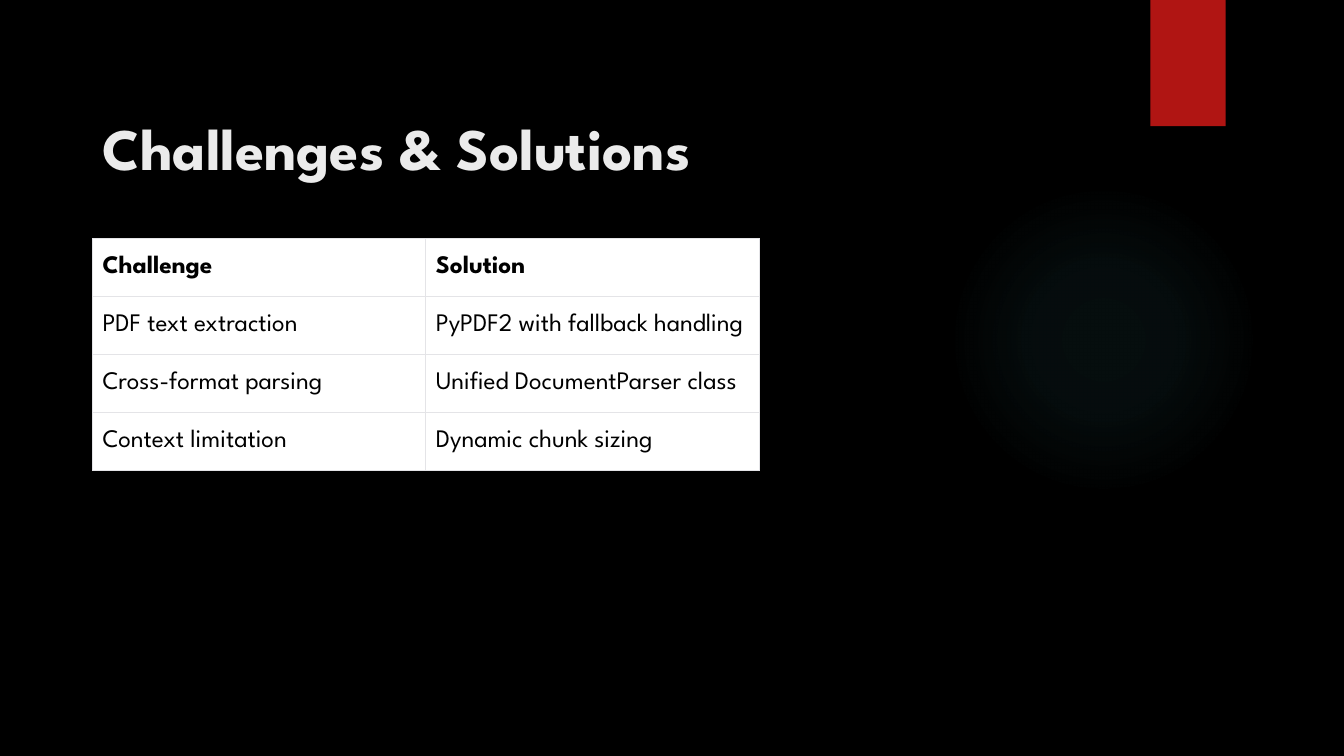
from collections import namedtuple
from dataclasses import dataclass

from pptx import Presentation
from pptx.dml.color import RGBColor
from pptx.enum import shapes, text
from pptx.oxml import parse_xml
from pptx.oxml.ns import nsdecls, qn
from pptx.util import Cm, Pt

Box = namedtuple("Box", "left top width height")


@dataclass(frozen=True)
class Theme:
    font: str = "League Spartan"
    background: str = "000000"
    title: str = "EBEBEB"
    ribbon: str = "B01513"
    glow: str = "50B9C1"
    cell: str = "FFFFFF"
    cell_text: str = "000000"
    border: str = "E4E4E7"
    title_size: int = 42
    cell_size: int = 18
    border_width: float = 0.6


THEME = Theme()
GLOW_STOPS = ((0, 7), (36, 6), (69, 0))  # position and opacity in percent
ROWS = (
    ("Challenge", "Solution"),
    ("PDF text extraction", "PyPDF2 with fallback handling"),
    ("Cross-format parsing", "Unified DocumentParser class"),
    ("Context limitation", "Dynamic chunk sizing"),
)


def box_cm(*lengths):
    return Box(*(Cm(length) for length in lengths))


def add_span(para, words, size, color, bold):
    span = para.add_run()
    span.text = words
    span.font.name = THEME.font
    span.font.size = Pt(size)
    span.font.bold = bold
    span.font.color.rgb = RGBColor.from_string(color)


def add_plain_shape(page, kind, box):
    shape = page.shapes.add_shape(kind, *box)
    shape.shadow.inherit = False
    shape.line.fill.background()
    return shape


def add_glow(page, box):
    """Place a circle whose faint colour fades out from its centre."""
    glow = add_plain_shape(page, shapes.MSO_SHAPE.OVAL, box)
    glow.fill.background()
    stops = "".join(
        f'<a:gs pos="{position * 1000}"><a:srgbClr val="{THEME.glow}">'
        f'<a:alpha val="{opacity * 1000}"/></a:srgbClr></a:gs>'
        for position, opacity in GLOW_STOPS
    )
    gradient = parse_xml(
        f'<a:gradFill {nsdecls("a")}><a:gsLst>{stops}</a:gsLst>'
        '<a:path path="circle">'
        '<a:fillToRect l="50000" t="50000" r="50000" b="50000"/>'
        "</a:path></a:gradFill>"
    )
    properties = glow._element.spPr
    properties.replace(properties.find(qn("a:noFill")), gradient)


def add_ribbon(page, box):
    ribbon = add_plain_shape(page, shapes.MSO_SHAPE.RECTANGLE, box)
    ribbon.fill.solid()
    ribbon.fill.fore_color.rgb = RGBColor.from_string(THEME.ribbon)


def fill_title(page, box, words):
    title = page.shapes.title
    title.left, title.top, title.width, title.height = box
    frame = title.text_frame
    frame.auto_size = text.MSO_AUTO_SIZE.NONE
    frame.word_wrap = True
    frame.vertical_anchor = text.MSO_ANCHOR.TOP
    frame.margin_top = Cm(0.49)
    para = frame.paragraphs[0]
    para.alignment = text.PP_ALIGN.LEFT
    add_span(para, words, THEME.title_size, THEME.title, True)


def add_borders(cell):
    properties = cell._tc.get_or_add_tcPr()
    for index, side in enumerate("LRTB"):
        border = parse_xml(
            f'<a:ln{side} {nsdecls("a")} w="{Pt(THEME.border_width)}">'
            f'<a:solidFill><a:srgbClr val="{THEME.border}"/></a:solidFill>'
            f"</a:ln{side}>"
        )
        properties.insert(index, border)


def add_solution_table(page, box, rows):
    table = page.shapes.add_table(len(rows), len(rows[0]), *box).table
    for row_index, row in enumerate(rows):
        for column_index, words in enumerate(row):
            cell = table.cell(row_index, column_index)
            cell.fill.solid()
            cell.fill.fore_color.rgb = RGBColor.from_string(THEME.cell)
            cell.vertical_anchor = text.MSO_ANCHOR.MIDDLE
            add_borders(cell)
            para = cell.text_frame.paragraphs[0]
            add_span(para, words, THEME.cell_size, THEME.cell_text, row_index == 0)


def build_challenges_slide(deck):
    page = deck.slides.add_slide(deck.slide_layouts.get_by_name("Title Only"))
    page.background.fill.solid()
    page.background.fill.fore_color.rgb = RGBColor.from_string(THEME.background)
    add_glow(page, box_cm(23.9, 4.65, 7.82, 7.82))
    add_ribbon(page, box_cm(28.99, 0, 1.9, 3.18))
    fill_title(page, box_cm(2.33, 2.33, 29.21, 3.68), "Challenges & Solutions")
    add_solution_table(page, box_cm(2.33, 6.01, 16.8, 5.84), ROWS)


def main():
    deck = Presentation()
    deck.slide_width, deck.slide_height = Cm(33.87), Cm(19.05)
    build_challenges_slide(deck)
    deck.save("out.pptx")


if __name__ == "__main__":
    main()
